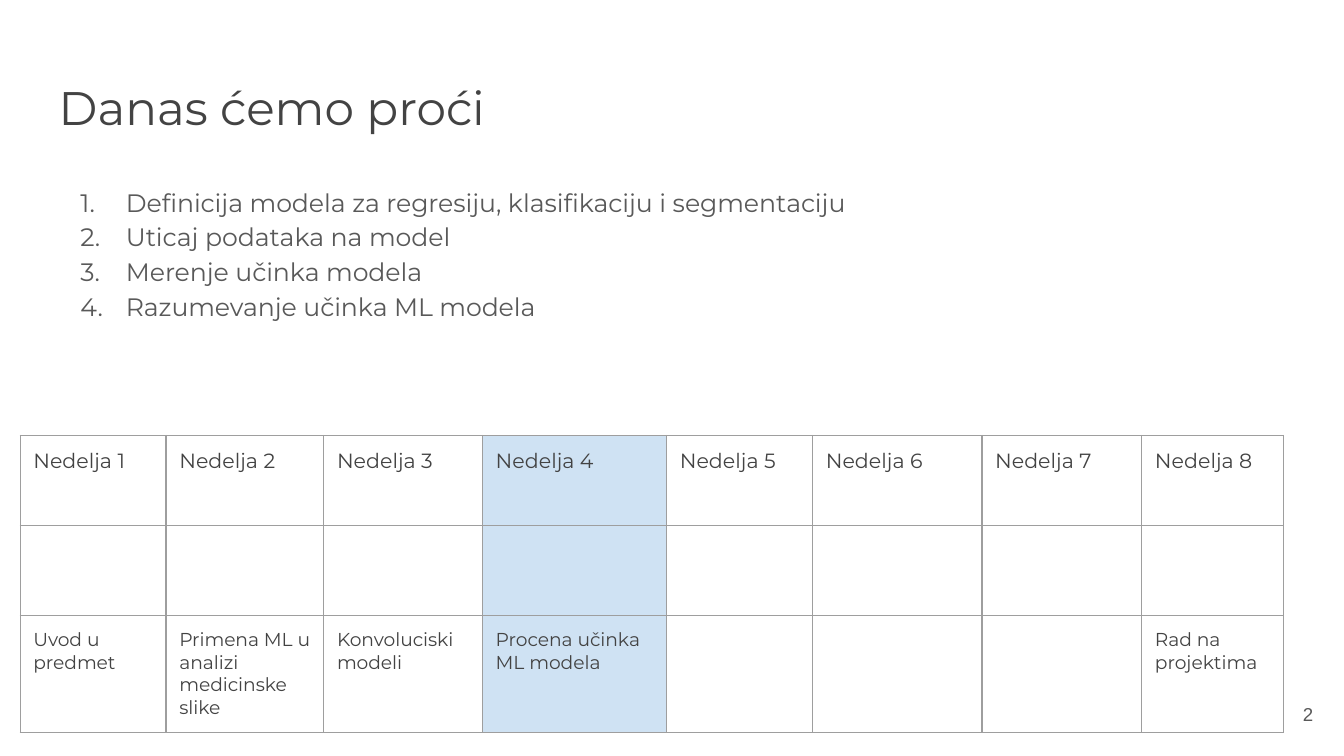
from lxml import etree
from pptx import Presentation
from pptx.dml.color import RGBColor
from pptx.enum import text as t
from pptx.oxml import ns
from pptx.util import Cm, Pt

DARK = RGBColor(0x43, 0x43, 0x43)
GRAY = RGBColor(0x59, 0x59, 0x59)
BORDER = RGBColor(0x9E, 0x9E, 0x9E)
WHITE = RGBColor(0xFF, 0xFF, 0xFF)
HIGHLIGHT = RGBColor(0xCF, 0xE2, 0xF3)

FONT = "Montserrat"
INSET = Cm(0.25)

TOPICS = [
    "Definicija modela za regresiju, klasifikaciju i segmentaciju",
    "Uticaj podataka na model",
    "Merenje učinka modela",
    "Razumevanje učinka ML modela",
]
WEEK_TOPICS = {
    1: "Uvod u predmet",
    2: "Primena ML u analizi medicinske slike",
    3: "Konvoluciski modeli",
    4: "Procena učinka ML modela",
    8: "Rad na projektima",
}
COLUMN_WIDTHS = [2.76, 2.98, 3, 3.48, 2.76, 3.2, 3.02, 2.68]
ROW_HEIGHTS = [1.7, 1.7, 2.21]
COLUMN_FILLS = {2: WHITE, 3: HIGHLIGHT}


def add_element(parent, tag, **attributes):
    element = etree.SubElement(parent, ns.qn(tag))
    for name, value in attributes.items():
        element.set(name, str(value))
    return element


def number_paragraph(paragraph, color):
    properties = paragraph._p.get_or_add_pPr()
    properties.set("marL", str(Cm(1.27)))
    properties.set("indent", str(Cm(-0.86)))
    bullet_color = add_element(properties, "a:buClr")
    add_element(bullet_color, "a:srgbClr", val=color)
    add_element(properties, "a:buFont", typeface=FONT)
    add_element(properties, "a:buAutoNum", type="arabicPeriod")


def write_text(frame, lines, size, color=DARK, font=FONT, align=t.PP_ALIGN.LEFT,
               spacing=1.0, numbered=False):
    for index, line in enumerate(lines):
        paragraph = frame.add_paragraph() if index else frame.paragraphs[0]
        if numbered:
            number_paragraph(paragraph, color)
        paragraph.text = line
        paragraph.alignment = align
        paragraph.line_spacing = spacing
        paragraph.space_before = Pt(0)
        paragraph.font.name = font
        paragraph.font.size = Pt(size)
        paragraph.font.color.rgb = color


def place_frame(shape, left, top, width, height, anchor=t.MSO_ANCHOR.TOP):
    shape.left, shape.top = Cm(left), Cm(top)
    shape.width, shape.height = Cm(width), Cm(height)
    frame = shape.text_frame
    frame.word_wrap = True
    frame.auto_size = t.MSO_AUTO_SIZE.NONE
    frame.vertical_anchor = anchor
    frame.margin_left = frame.margin_right = INSET
    frame.margin_top = frame.margin_bottom = INSET
    return frame


def format_cell(cell, fill):
    cell.margin_left = cell.margin_right = INSET
    cell.margin_top = cell.margin_bottom = INSET
    properties = cell._tc.get_or_add_tcPr()
    for side in ("a:lnL", "a:lnR", "a:lnT", "a:lnB"):
        line = add_element(properties, side, w=Pt(0.75))
        solid = add_element(line, "a:solidFill")
        add_element(solid, "a:srgbClr", val=BORDER)
    if fill is None:
        cell.fill.background()
    else:
        cell.fill.solid()
        cell.fill.fore_color.rgb = fill


def add_schedule(slide):
    frame = slide.shapes.add_table(
        len(ROW_HEIGHTS), len(COLUMN_WIDTHS), Cm(0.38), Cm(8.23),
        Cm(sum(COLUMN_WIDTHS)), Cm(sum(ROW_HEIGHTS)))
    table = frame.table
    table.first_row = table.horz_banding = False
    for row, height in zip(table.rows, ROW_HEIGHTS):
        row.height = Cm(height)
    for index, width in enumerate(COLUMN_WIDTHS):
        week = index + 1
        table.columns[index].width = Cm(width)
        for row in range(len(ROW_HEIGHTS)):
            format_cell(table.cell(row, index), COLUMN_FILLS.get(index))
        write_text(table.cell(0, index).text_frame, [f"Nedelja {week}"], size=11)
        if week in WEEK_TOPICS:
            write_text(table.cell(2, index).text_frame, [WEEK_TOPICS[week]], size=10)


def main():
    presentation = Presentation()
    presentation.slide_width = Cm(25.4)
    presentation.slide_height = Cm(14.29)
    slide = presentation.slides.add_slide(presentation.slide_layouts[1])

    title = place_frame(slide.shapes.title, 0.86, 1.24, 23.67, 1.6)
    write_text(title, ["Danas ćemo proći"], size=25.2)

    body = place_frame(slide.placeholders[1], 0.86, 3.2, 17.98, 4.19)
    write_text(body, TOPICS, size=13.5, color=GRAY, spacing=1.15, numbered=True)

    add_schedule(slide)

    number_box = slide.shapes.add_textbox(0, 0, 0, 0)
    number = place_frame(number_box, 23.55, 12.95, 1.52, 1.09, t.MSO_ANCHOR.MIDDLE)
    write_text(number, ["2"], size=10, color=GRAY, font="Arial", align=t.PP_ALIGN.RIGHT)

    presentation.save("out.pptx")


if __name__ == "__main__":
    main()
